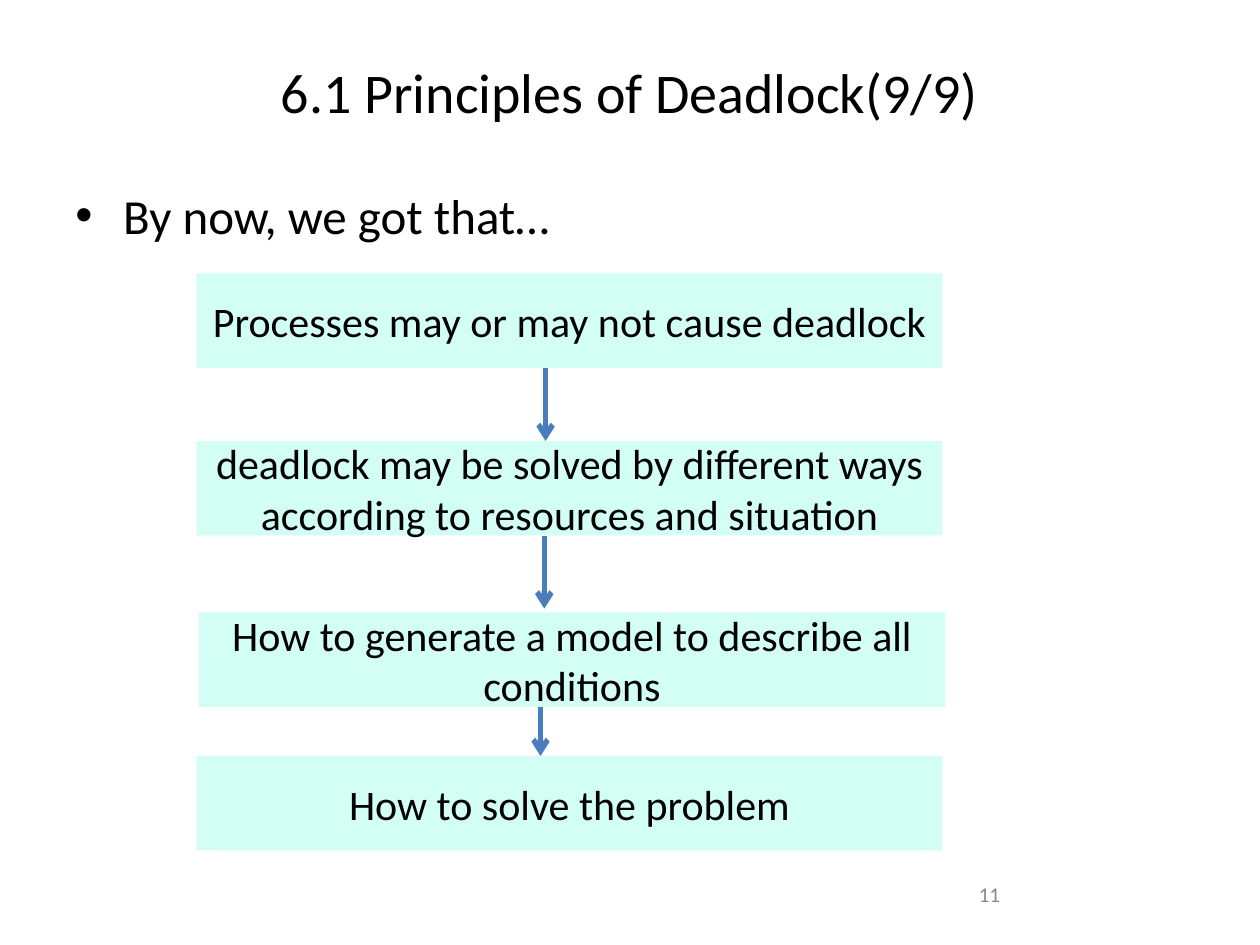
import pptx
import pptx.dml.color
import pptx.enum.shapes
import pptx.enum.text
import pptx.oxml.ns
import pptx.util
from lxml import etree
from pptx.util import Inches


def color(hex_string):
    return pptx.dml.color.RGBColor.from_string(hex_string)


def write_text(shape, text, size, hex_string, alignment, anchor):
    frame = shape.text_frame
    frame.word_wrap = True
    frame.vertical_anchor = anchor
    paragraph = frame.paragraphs[0]
    paragraph.alignment = alignment
    run = paragraph.add_run()
    run.text = text
    run.font.name = "Calibri"
    run.font.size = pptx.util.Pt(size)
    run.font.color.rgb = color(hex_string)
    return paragraph


align = pptx.enum.text.PP_ALIGN
anchors = pptx.enum.text.MSO_ANCHOR
qn = pptx.oxml.ns.qn

presentation = pptx.Presentation()
presentation.slide_width = Inches(10)
presentation.slide_height = Inches(7.5)
slide = presentation.slides.add_slide(presentation.slide_layouts[6])

# Title
title = slide.shapes.add_textbox(Inches(0), Inches(0.3), Inches(10), Inches(0.85))
write_text(title, "6.1 Principles of Deadlock(9/9)", 32, "000000", align.CENTER, anchors.MIDDLE)

# Bullet with hanging indent
body = slide.shapes.add_textbox(Inches(0.5), Inches(1.42), Inches(9), Inches(0.58))
paragraph = write_text(body, "By now, we got that…", 28, "000000", align.LEFT, anchors.TOP)
properties = paragraph._p.get_or_add_pPr()
properties.set("marL", str(Inches(0.38)))
properties.set("indent", str(-Inches(0.38)))
etree.SubElement(properties, qn("a:buFont"), typeface="Arial")
etree.SubElement(properties, qn("a:buChar"), char="•")

# Slide number
number = slide.shapes.add_textbox(Inches(7.67), Inches(6.95), Inches(2.33), Inches(0.4))
write_text(number, "11", 12, "898989", align.LEFT, anchors.TOP)

# Flow boxes: left, top, text
box_height = 0.75
boxes = [
    (1.56, 2.17, "Processes may or may not cause deadlock"),
    (1.56, 3.5, "deadlock may be solved by different ways according to resources and situation"),
    (1.58, 4.86, "How to generate a model to describe all conditions"),
    (1.56, 6, "How to solve the problem"),
]
for left, top, text in boxes:
    box = slide.shapes.add_shape(
        pptx.enum.shapes.MSO_SHAPE.RECTANGLE,
        Inches(left), Inches(top), Inches(5.92), Inches(box_height))
    box.shadow.inherit = False
    box.fill.solid()
    box.fill.fore_color.rgb = color("D2FEF4")
    box.line.fill.background()
    write_text(box, text, 24, "000000", align.CENTER, anchors.MIDDLE)

# Arrows from the bottom of each box: x, end y
arrows = [(4.33, 3.5), (4.32, 4.83), (4.29, 6)]
for (left, top, text), (x, end) in zip(boxes, arrows):
    arrow = slide.shapes.add_connector(
        pptx.enum.shapes.MSO_CONNECTOR.STRAIGHT,
        Inches(x), Inches(top + box_height), Inches(x), Inches(end))
    arrow.line.color.rgb = color("4A7EBB")
    arrow.line.width = pptx.util.Pt(3)
    etree.SubElement(arrow.line._get_or_add_ln(), qn("a:tailEnd"), type="arrow")
    etree.SubElement(arrow._element.spPr, qn("a:effectLst"))

presentation.save("out.pptx")
